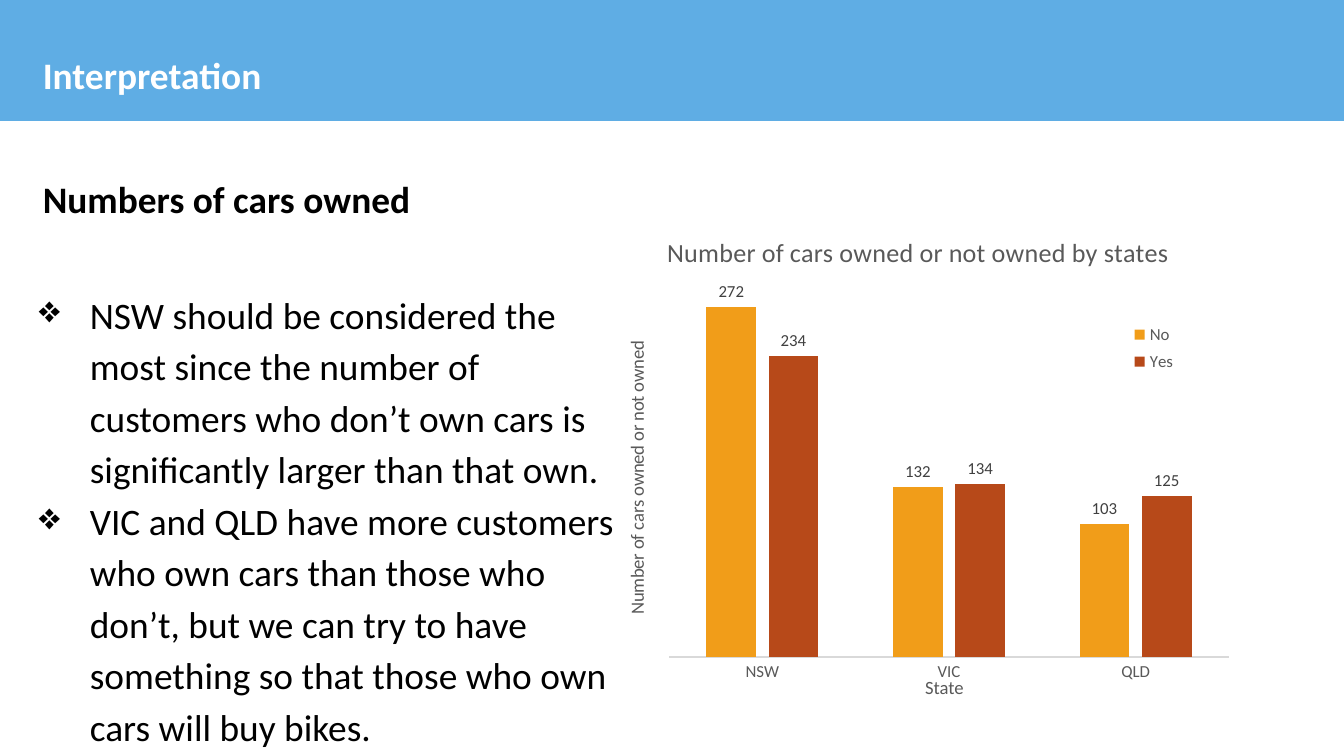
from dataclasses import dataclass

import pptx
import pptx.chart.data
import pptx.dml.color
import pptx.enum.chart
import pptx.enum.shapes
import pptx.enum.text
import pptx.oxml
import pptx.util

Inches = pptx.util.Inches
Pt = pptx.util.Pt


@dataclass(frozen=True)
class Theme:
    font: str = "Calibri"
    bullet_font: str = "OpenSymbol"
    banner: str = "5FADE4"
    white: str = "FFFFFF"
    ink: str = "000000"
    grey: str = "595959"
    label: str = "404040"
    axis: str = "D9D9D9"
    body_size: float = 20
    title_size: float = 14
    axis_title_size: float = 10
    small_size: float = 9


@dataclass(frozen=True)
class TextBlock:
    left: float
    top: float
    width: float
    height: float
    paragraphs: tuple[str, ...]
    color: str
    bold: bool = False
    spacing: float = 1.0
    bullet: str = ""


@dataclass(frozen=True)
class Series:
    name: str
    values: tuple[int, ...]
    color: str


THEME = Theme()
INDENT = 0.38

BLOCKS = (
    TextBlock(0.22, 0.29, 9.37, 0.83, ("Interpretation",), THEME.white, bold=True),
    TextBlock(0.22, 1.16, 9.37, 0.56, ("Numbers of cars owned",), THEME.ink,
              bold=True, spacing=1.15),
    TextBlock(0.19, 2.02, 4.52, 4.05, (
        "NSW should be considered the most since the number of customers who "
        "don’t own cars is significantly larger than that own.",
        "VIC and QLD have more customers who own cars than those who don’t, but we "
        "can try to have something so that those who own cars will buy bikes.",
    ), THEME.ink, spacing=1.15, bullet="❖"),
)

STATES = ("NSW", "VIC", "QLD")
SERIES = (
    Series("No", (272, 132, 103), "F19D19"),
    Series("Yes", (234, 134, 125), "B74919"),
)


def rgb(color: str) -> pptx.dml.color.RGBColor:
    return pptx.dml.color.RGBColor.from_string(color)


def style_font(font, size: float, color: str, bold: bool = False) -> None:
    font.name = THEME.font
    font.size = Pt(size)
    font.bold = bold
    font.color.rgb = rgb(color)


def add_bullet(p, char: str) -> None:
    pPr = p._p.get_or_add_pPr()
    pPr.set("marL", str(Inches(INDENT)))
    pPr.set("indent", str(-Inches(INDENT)))
    for tag, key, val in (("buFont", "typeface", THEME.bullet_font),
                          ("buChar", "char", char)):
        element = pptx.oxml.parse_xml(
            f'<a:{tag} xmlns:a="http://schemas.openxmlformats.org/drawingml/2006/main"'
            f' {key}="{val}"/>')
        pPr.insert_element_before(element, "a:tabLst", "a:defRPr", "a:extLst")


def add_text(slide, block: TextBlock) -> None:
    sp = slide.shapes.add_textbox(Inches(block.left), Inches(block.top),
                                  Inches(block.width), Inches(block.height))
    tf = sp.text_frame
    tf.word_wrap = True
    tf.margin_left = tf.margin_right = tf.margin_top = tf.margin_bottom = Inches(0.1)
    for i, text in enumerate(block.paragraphs):
        p = tf.paragraphs[0] if i == 0 else tf.add_paragraph()
        p.text = text
        p.line_spacing = block.spacing
        style_font(p.font, THEME.body_size, block.color, block.bold)
        if block.bullet:
            add_bullet(p, block.bullet)


def manual_layout(x: float, y: float, w: float = 0, h: float = 0, inner: bool = False):
    """Chart layout in fractions of the chart's width and height."""
    parts = [("layoutTarget", "inner")] if inner else []
    parts += [("xMode", "edge"), ("yMode", "edge"), ("x", x), ("y", y)]
    if w:
        parts += [("w", w), ("h", h)]
    body = "".join(f'<c:{tag} val="{val}"/>' for tag, val in parts)
    return pptx.oxml.parse_xml(
        '<c:layout xmlns:c="http://schemas.openxmlformats.org/drawingml/2006/chart">'
        f"<c:manualLayout>{body}</c:manualLayout></c:layout>")


def place(element, layout, before: str) -> None:
    """Put the layout in front of the first child with the given tag."""
    ns = {"c": "http://schemas.openxmlformats.org/drawingml/2006/chart"}
    for old in element.findall("c:layout", ns):
        element.remove(old)
    element.find(before, ns).addprevious(layout)


def set_title(title, text: str, size: float, x: float, y: float) -> None:
    p = title.text_frame.paragraphs[0]
    p.text = text
    style_font(p.font, size, THEME.grey)
    place(title._element, manual_layout(x, y), "c:overlay")


def add_cars_chart(slide) -> None:
    data = pptx.chart.data.CategoryChartData()
    data.categories = STATES
    for s in SERIES:
        data.add_series(s.name, s.values)
    chart = slide.shapes.add_chart(
        pptx.enum.chart.XL_CHART_TYPE.COLUMN_CLUSTERED,
        Inches(4.42), Inches(1.48), Inches(5.08), Inches(3.83), data).chart
    style_font(chart.font, THEME.axis_title_size, THEME.ink)

    # Columns and value labels
    plot = chart.plots[0]
    plot.gap_width, plot.overlap, plot.vary_by_categories = 150, -25, False
    for s, drawn in zip(SERIES, plot.series):
        drawn.format.fill.solid()
        drawn.format.fill.fore_color.rgb = rgb(s.color)
        labels = drawn.data_labels
        labels.show_value = True
        labels.position = pptx.enum.chart.XL_LABEL_POSITION.OUTSIDE_END
        style_font(labels.font, THEME.small_size, THEME.label)

    # Axes
    states, counts = chart.category_axis, chart.value_axis
    states.major_tick_mark = pptx.enum.chart.XL_TICK_MARK.NONE
    states.format.line.color.rgb = rgb(THEME.axis)
    states.format.line.width = Pt(0.75)
    style_font(states.tick_labels.font, THEME.small_size, THEME.grey)
    counts.minimum_scale, counts.maximum_scale = 0, 300
    counts.has_major_gridlines = False
    counts.visible = False

    # Titles
    chart.has_title = True
    set_title(chart.chart_title, "Number of cars owned or not owned by states",
              THEME.title_size, 0.1, 0.06)
    set_title(states.axis_title, "State", THEME.axis_title_size, 0.48, 0.92)
    set_title(counts.axis_title, "Number of cars owned or not owned",
              THEME.axis_title_size, 0.04, 0.27)
    counts.axis_title.text_frame._txBody.bodyPr.set("rot", "-5400000")

    # Legend and plot area
    chart.has_legend = True
    legend = chart.legend
    legend.position = pptx.enum.chart.XL_LEGEND_POSITION.RIGHT
    legend.include_in_layout = False
    style_font(legend.font, THEME.small_size, THEME.grey)
    place(legend._element, manual_layout(0.78, 0.23, 0.08, 0.12), "c:overlay")
    place(plot._element.getparent(),
          manual_layout(0.11, 0.14, 0.82, 0.75, inner=True), "c:barChart")


# Widescreen 16:9 page
prs = pptx.Presentation()
prs.slide_width = Inches(10)
prs.slide_height = prs.slide_width * 9 // 16
slide = prs.slides.add_slide(prs.slide_layouts[6])

# Banner
banner = slide.shapes.add_shape(pptx.enum.shapes.MSO_SHAPE.RECTANGLE, Inches(-0.02),
                                Inches(-0.02), Inches(10.05), Inches(0.92))
banner.shadow.inherit = False
banner.fill.solid()
banner.fill.fore_color.rgb = rgb(THEME.banner)
banner.line.fill.background()

# Text and chart
for block in BLOCKS:
    add_text(slide, block)
add_cars_chart(slide)

prs.save("out.pptx")
